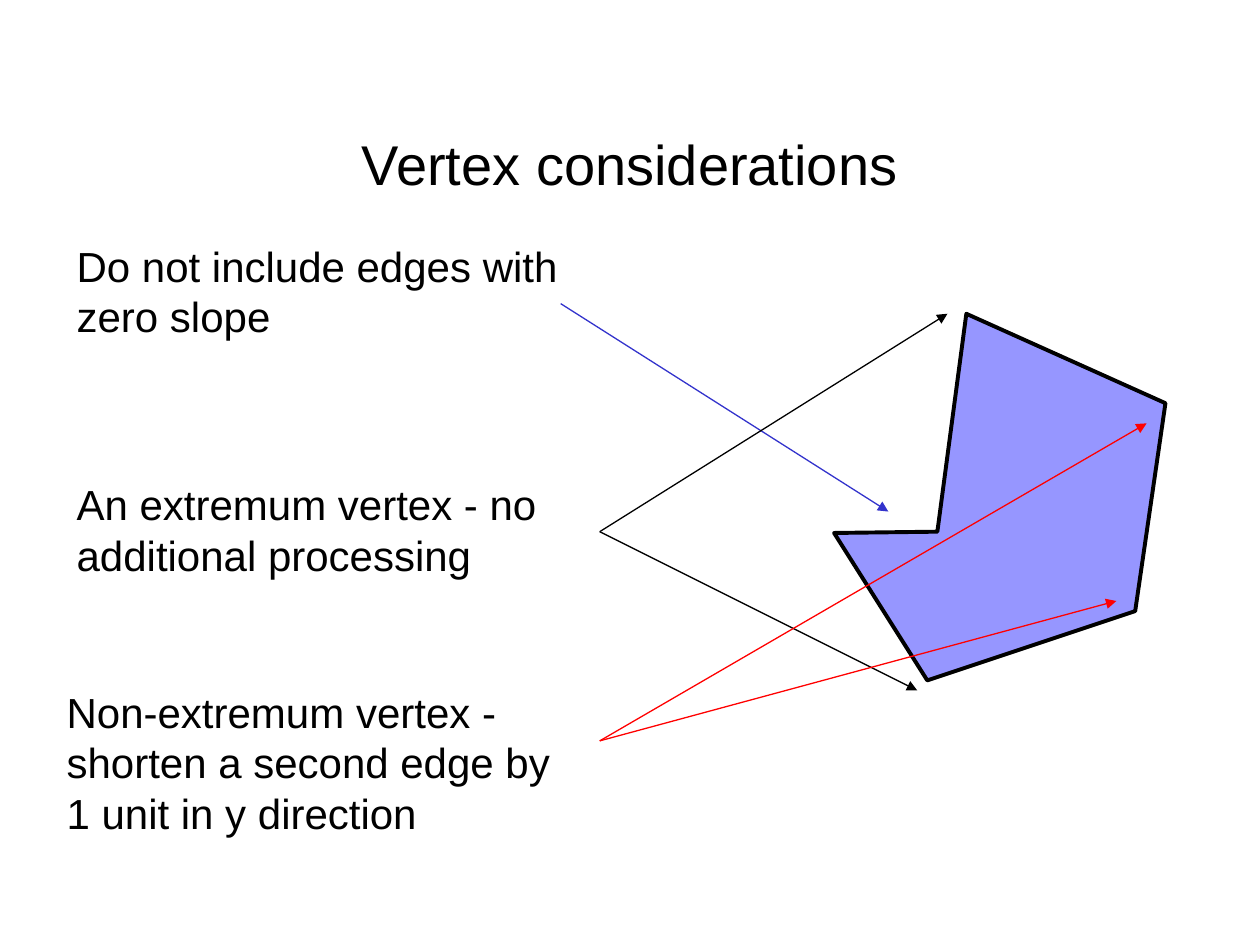
import pptx
import pptx.dml.color
import pptx.enum.shapes
import pptx.enum.text
import pptx.oxml.ns
import pptx.util
from lxml import etree
from pptx.util import Inches

COLORS = {
    "text": "000000",
    "polygon": "9696FF",
    "outline": "000000",
    "zero_slope": "3333CC",
    "extremum": "000000",
    "non_extremum": "FF0000",
}

POLYGON = [(9.01, 4.85), (7.36, 5.4), (6.62, 4.23), (7.44, 4.22), (7.67, 2.49), (9.25, 3.2)]

# Each rule: wording, text box, arrow color, arrow start, arrow ends
RULES = [
    ("Do not include edges with zero slope", (0.51, 1.86, 4.17, 0.9),
     "zero_slope", (4.45, 2.41), [(7.05, 4.06)]),
    ("An extremum vertex - no additional processing", (0.51, 3.75, 4.09, 0.9),
     "extremum", (4.76, 4.22), [(7.52, 2.49), (7.28, 5.48)]),
    ("Non-extremum vertex - shorten a second edge by 1 unit in y direction", (0.43, 5.4, 4.25, 1.3),
     "non_extremum", (4.76, 5.88), [(8.86, 4.77), (9.1, 3.36)]),
]


def rgb(name):
    return pptx.dml.color.RGBColor.from_string(COLORS[name])


def add_text(slide, wording, box, size, align=pptx.enum.text.PP_ALIGN.LEFT,
             anchor=pptx.enum.text.MSO_ANCHOR.TOP):
    frame = slide.shapes.add_textbox(*map(Inches, box)).text_frame
    frame.word_wrap = True
    frame.vertical_anchor = anchor
    paragraph = frame.paragraphs[0]
    paragraph.alignment = align
    run = paragraph.add_run()
    run.text = wording
    run.font.name = "Arial"
    run.font.size = pptx.util.Pt(size)
    run.font.color.rgb = rgb("text")


def add_polygon(slide, vertices):
    points = [(Inches(x), Inches(y)) for x, y in vertices]
    builder = slide.shapes.build_freeform(*points[0])
    builder.add_line_segments(points[1:], close=True)
    polygon = builder.convert_to_shape()
    polygon.shadow.inherit = False
    polygon.fill.solid()
    polygon.fill.fore_color.rgb = rgb("polygon")
    polygon.line.color.rgb = rgb("outline")
    polygon.line.width = pptx.util.Pt(2.25)


def add_arrow(slide, start, end, color):
    arrow = slide.shapes.add_connector(
        pptx.enum.shapes.MSO_CONNECTOR.STRAIGHT, *map(Inches, start + end))
    arrow.line.color.rgb = rgb(color)
    arrow.line.width = pptx.util.Pt(0.75)
    properties = arrow.element.spPr
    outline = properties.find(pptx.oxml.ns.qn("a:ln"))
    etree.SubElement(outline, pptx.oxml.ns.qn("a:tailEnd"), type="triangle")
    etree.SubElement(properties, pptx.oxml.ns.qn("a:effectLst"))


def main():
    deck = pptx.Presentation()
    deck.slide_width, deck.slide_height = Inches(10), Inches(7.5)
    slide = deck.slides.add_slide(deck.slide_layouts[6])

    add_text(slide, "Vertex considerations", (0.75, 0.67, 8.5, 1.25), 32,
             pptx.enum.text.PP_ALIGN.CENTER, pptx.enum.text.MSO_ANCHOR.MIDDLE)
    add_polygon(slide, POLYGON)
    for wording, box, color, start, ends in RULES:
        for end in ends:
            add_arrow(slide, start, end, color)
        add_text(slide, wording, box, 24)

    deck.save("out.pptx")


if __name__ == "__main__":
    main()
